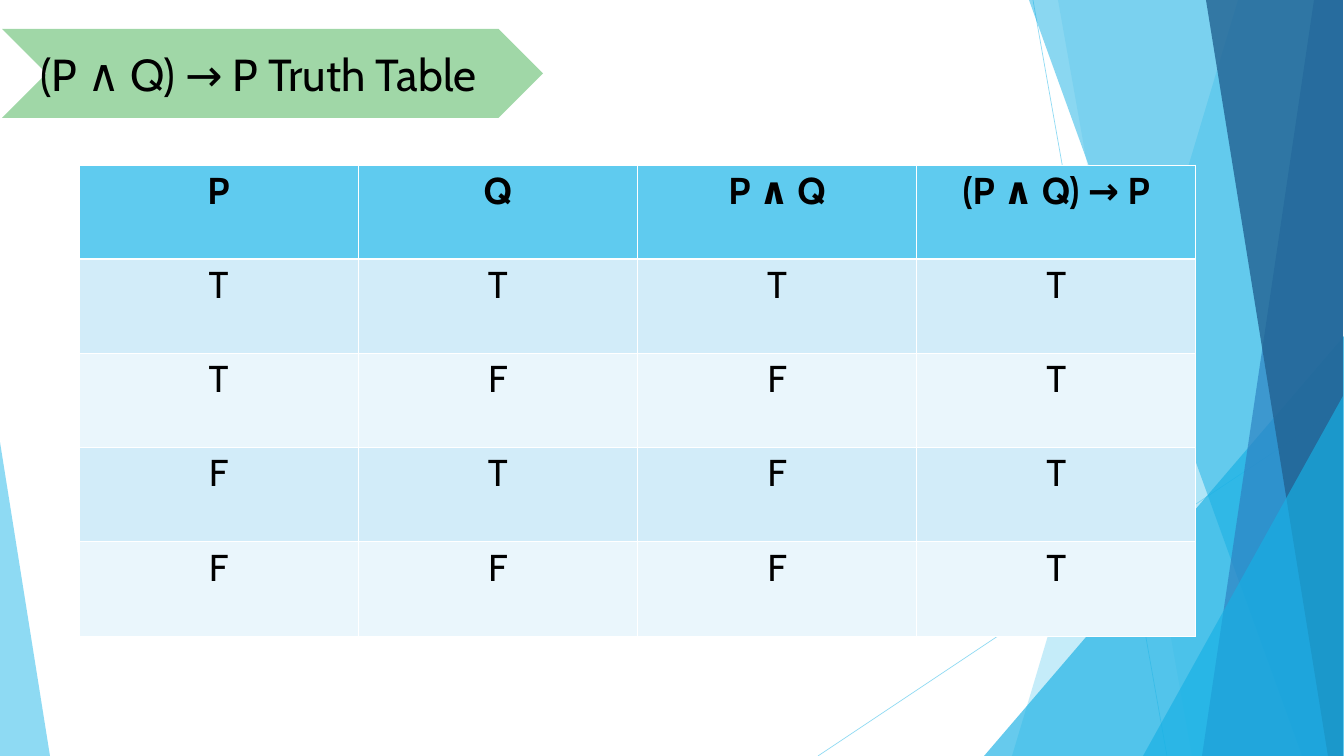
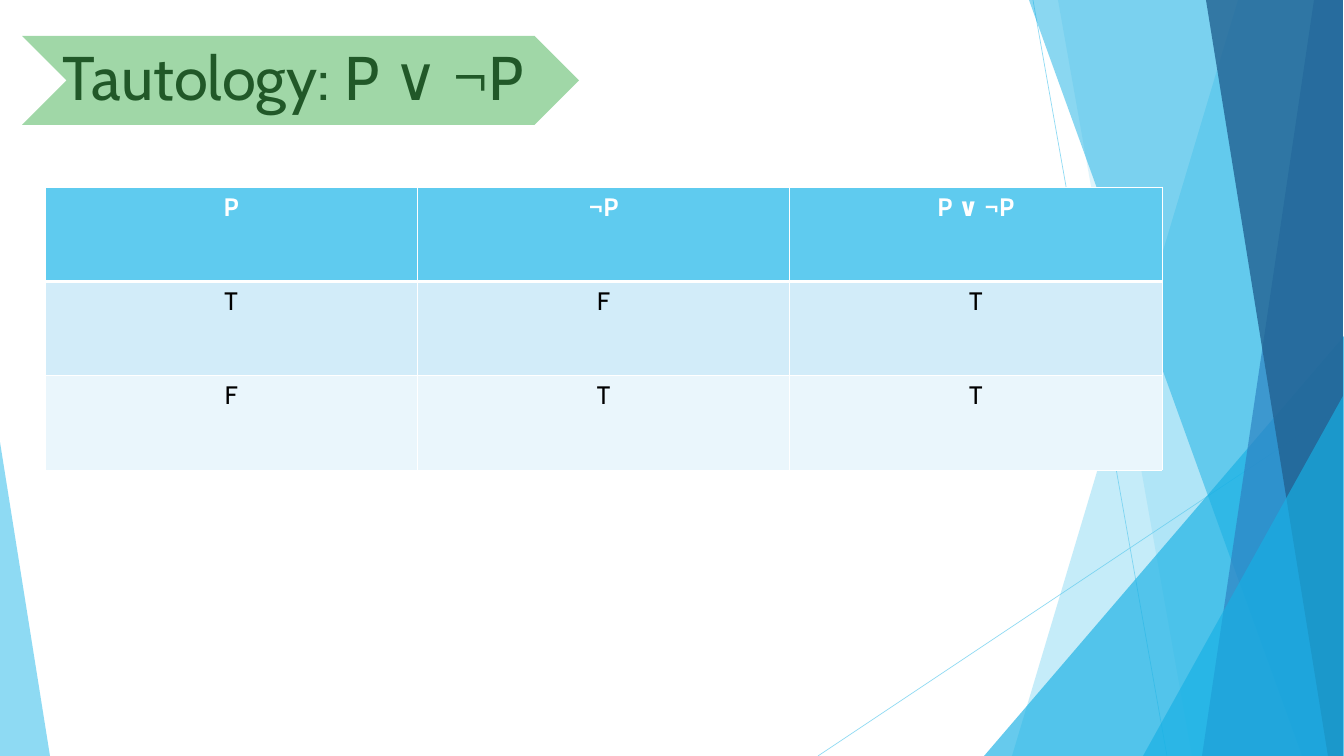
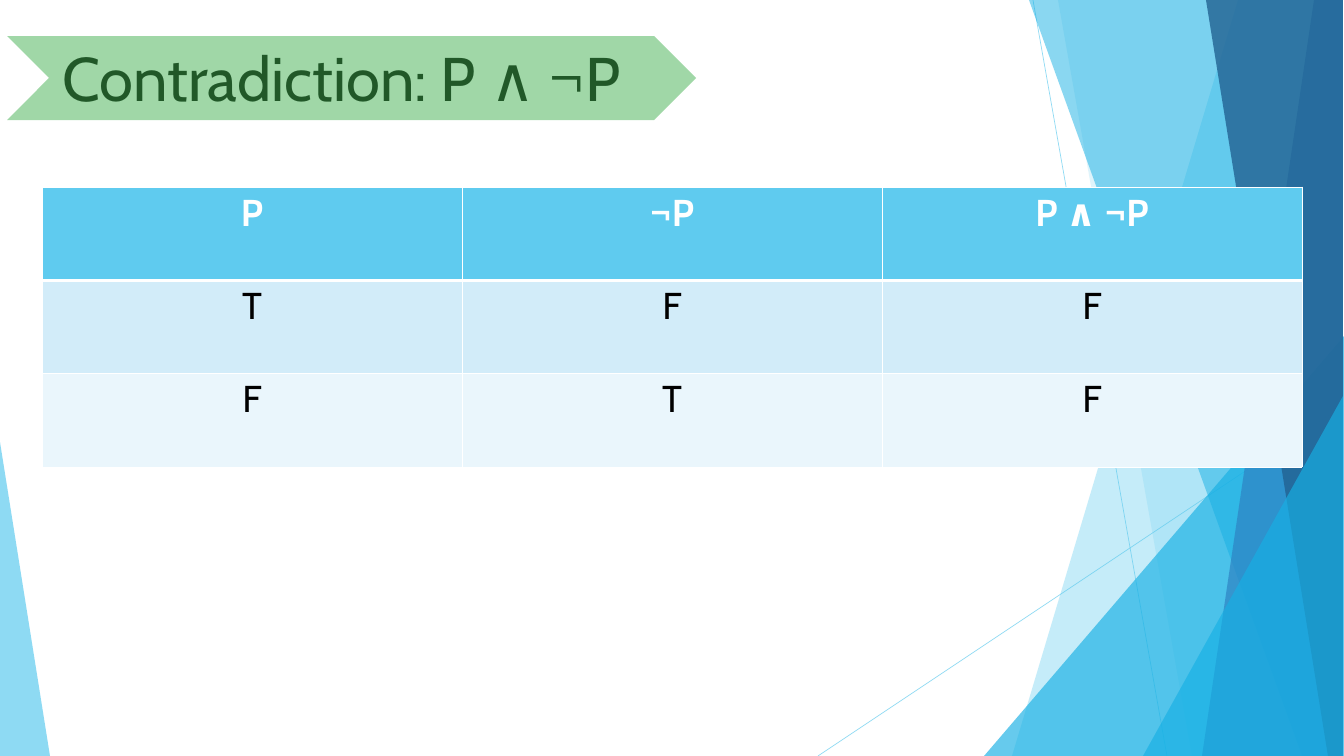
from lxml import etree
from pptx import Presentation
from pptx.dml.color import RGBColor
from pptx.enum import shapes, text
from pptx.oxml.ns import qn
from pptx.util import Pt

SCALE = 914400 / 67.2
WIDTH, HEIGHT, RIGHT = 1344, 756, 1343
FONT = "Cabin"
BLACK = RGBColor(0x00, 0x00, 0x00)
WHITE = RGBColor(0xFF, 0xFF, 0xFF)
SKY = RGBColor(0x5F, 0xCB, 0xEF)
CYAN = RGBColor(0x17, 0xB0, 0xE4)
BLUE = RGBColor(0x2E, 0x83, 0xC3)
NAVY = RGBColor(0x22, 0x62, 0x92)
GREEN = RGBColor(0x42, 0xB0, 0x51)
BANDS = [RGBColor(0xD2, 0xEC, 0xF9), RGBColor(0xEA, 0xF6, 0xFC)]

RAYS = [((1033, 0), (1167, HEIGHT)), ((RIGHT, 406), (818, HEIGHT))]
SHARDS_BACK = [(1238, 1012, SKY, 36), (1058, 1192, SKY, 20)]
SHARDS_FRONT = [(1029, 1302, CYAN, 50), (1314, 1202, BLUE, 70), (1206, 1328, NAVY, 80)]

SLIDES = [
    dict(title="(P ∧ Q) → P Truth Table", title_box=(34, 43, 588, 57), size=48,
         chevron_box=(2, 29, 541, 89), tinted=False,
         table_box=(79, 165, 1117, 471), cell_size=40, head_color=BLACK, margins={},
         rows=[["P", "Q", "P ∧ Q", "(P ∧ Q) → P"], "TTTT", "TFFT", "FTFT", "FFFT"]),
    dict(title="Tautology: P ∨ ¬P", title_box=(56, 36, 605, 117), size=66,
         chevron_box=(22, 36, 557, 89), tinted=True,
         table_box=(45, 187, 1117, 283), cell_size=27, head_color=WHITE,
         margins=dict(margin_left=10, margin_right=10, margin_top=5, margin_bottom=5),
         rows=[["P", "¬P", "P ∨ ¬P"], "TFT", "FTT"]),
    dict(title="Contradiction: P ∧ ¬P", title_box=(56, 37, 689, 117), size=66,
         chevron_box=(7, 36, 689, 84), tinted=True,
         table_box=(42, 187, 1260, 280), cell_size=40, head_color=WHITE, margins={},
         rows=[["P", "¬P", "P ∧ ¬P"], "TFF", "FTF"]),
]


def px(n):
    """Turn px into EMU."""
    return round(n * SCALE)


def emu(box):
    """Turn every length of a box into EMU."""
    return [px(n) for n in box]


def set_alpha(sp, percent):
    """Make the explicit colours of a shape translucent."""
    for clr in sp.element.iter(qn("a:srgbClr")):
        etree.SubElement(clr, qn("a:alpha"), val=str(percent * 1000))


def paint(sp, color, percent):
    """Give a shape a translucent fill with no line or shadow."""
    sp.shadow.inherit = False
    sp.fill.solid()
    sp.fill.fore_color.rgb = color
    sp.line.fill.background()
    set_alpha(sp, percent)


def write(tf, words, align, color, **formats):
    """Write one formatted paragraph into a text frame."""
    p = tf.paragraphs[0]
    p.alignment = align
    r = p.add_run()
    r.text = words
    r.font.color.rgb = color
    for name, value in dict(name=FONT, **formats).items():
        setattr(r.font, name, value)


def add_ray(group, start, end):
    """Draw one thin diagonal line."""
    ray = group.shapes.add_connector(shapes.MSO_CONNECTOR.STRAIGHT, *emu(start + end))
    ray.line.color.rgb = SKY
    ray.line.width = Pt(0.75)
    etree.SubElement(ray.element.spPr, qn("a:effectLst"))
    set_alpha(ray, 70)


def add_shard(group, top_x, bottom_x, color, percent):
    """Draw a full-height pane from a slanted left edge to the right edge."""
    fb = group.shapes.build_freeform(top_x, 0, scale=SCALE)
    fb.add_line_segments([(RIGHT, 0), (RIGHT, HEIGHT), (bottom_x, HEIGHT)], close=True)
    paint(fb.convert_to_shape(), color, percent)


def add_corner(group, box, apex, color, percent):
    """Draw a right-angled triangle in the given box."""
    sp = group.shapes.add_shape(shapes.MSO_SHAPE.ISOSCELES_TRIANGLE, *emu(box))
    sp.adjustments[0] = apex
    paint(sp, color, percent)


def add_backdrop(slide):
    """Build the faceted backdrop and place it on the layout the slides share."""
    layout = slide.slide_layout
    for ph in list(layout.placeholders):
        layout.shapes.element.remove(ph.element)
    group = slide.shapes.add_group_shape()
    for ray in RAYS:
        add_ray(group, *ray)
    for shard in SHARDS_BACK:
        add_shard(group, *shard)
    add_corner(group, (984, 336, 360, 420), 1, CYAN, 66)
    for shard in SHARDS_FRONT:
        add_shard(group, *shard)
    add_corner(group, (1143, 396, 200, 360), 1, CYAN, 66)
    add_corner(group, (0, 442, 50, 314), 0, SKY, 70)
    layout.shapes.element.append(group.element)


def add_title(slide, box, words, size):
    """Add the slide title."""
    tf = slide.shapes.add_textbox(*emu(box)).text_frame
    tf.word_wrap = True
    write(tf, words, text.PP_ALIGN.LEFT, BLACK, size=Pt(size))


def add_chevron(slide, box):
    """Add the green title band."""
    sp = slide.shapes.add_shape(shapes.MSO_SHAPE.CHEVRON, *emu(box))
    paint(sp, GREEN, 50)


def add_borders(cell, bottom):
    """Draw white cell borders, with the bottom one of a given width."""
    for side, width in dict(L=1, R=1, T=1, B=bottom).items():
        ln = etree.SubElement(cell._tc.get_or_add_tcPr(), qn(f"a:ln{side}"), w=str(Pt(width)))
        fill = etree.SubElement(ln, qn("a:solidFill"))
        etree.SubElement(fill, qn("a:srgbClr"), val=str(WHITE))


def add_truth_table(slide, box, rows, size, head_color, margins):
    """Add a truth table with a header row and banded body rows."""
    table = slide.shapes.add_table(len(rows), len(rows[0]), *emu(box)).table
    for i, row in enumerate(rows):
        head = i == 0
        for j, words in enumerate(row):
            cell = table.cell(i, j)
            for name, value in margins.items():
                setattr(cell, name, px(value))
            add_borders(cell, 3 if head else 1)
            cell.fill.solid()
            cell.fill.fore_color.rgb = SKY if head else BANDS[(i - 1) % 2]
            write(cell.text_frame, words, text.PP_ALIGN.CENTER,
                  head_color if head else BLACK, size=Pt(size), bold=head)


def fill_slide(slide, d):
    """Place the title band and the truth table of one slide."""
    if not d["tinted"]:
        add_chevron(slide, d["chevron_box"])
    add_title(slide, d["title_box"], d["title"], d["size"])
    if d["tinted"]:
        add_chevron(slide, d["chevron_box"])
    add_truth_table(slide, d["table_box"], d["rows"], d["cell_size"],
                    d["head_color"], d["margins"])


def main():
    """Build the deck."""
    prs = Presentation()
    prs.slide_width, prs.slide_height = px(WIDTH), px(HEIGHT)
    pages = [prs.slides.add_slide(prs.slide_layouts[6]) for _ in SLIDES]
    add_backdrop(pages[0])
    for slide, d in zip(pages, SLIDES):
        fill_slide(slide, d)
    prs.save("out.pptx")


if __name__ == "__main__":
    main()
